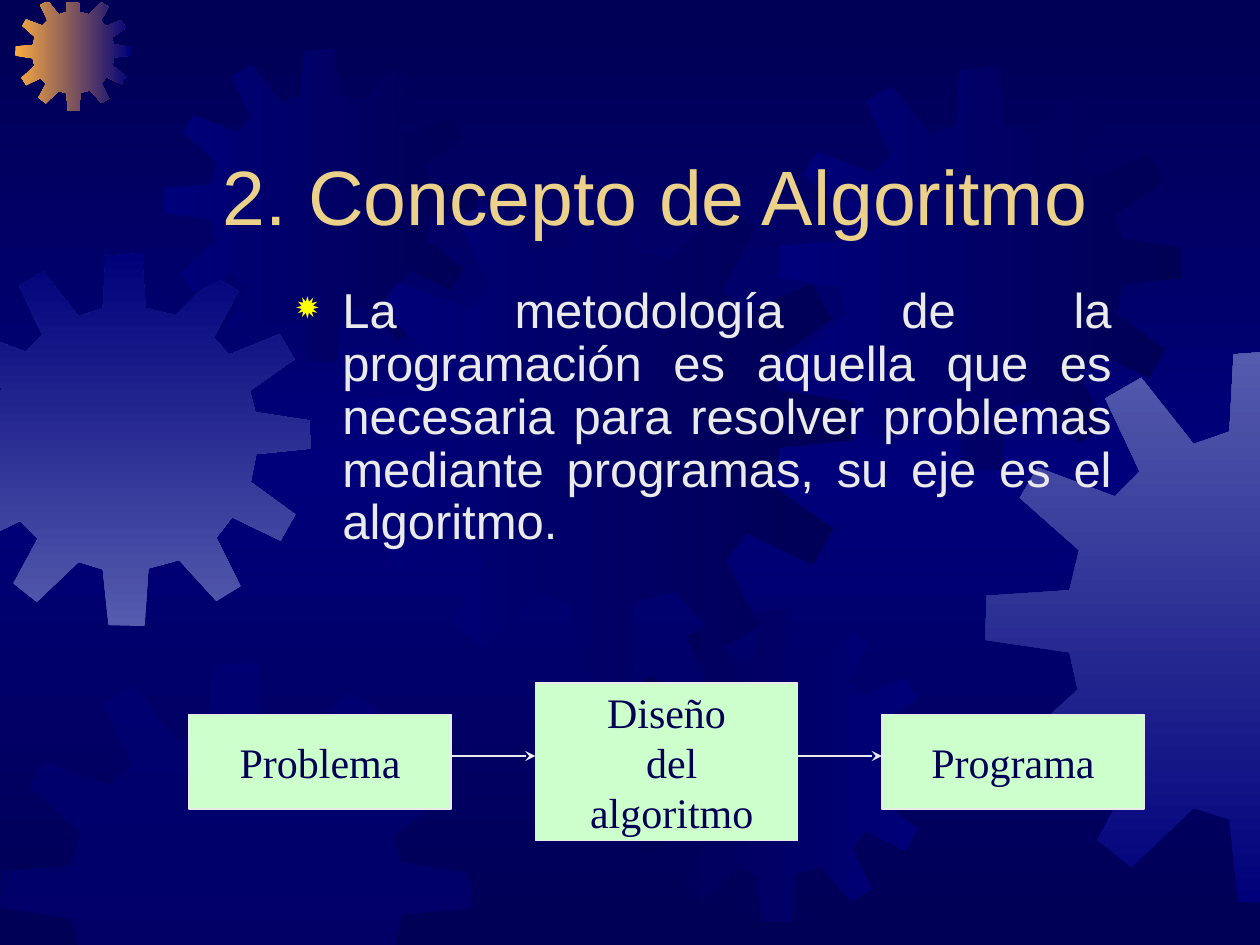
from copy import deepcopy

from pptx import Presentation
from pptx.dml.color import RGBColor
from pptx.enum.shapes import MSO_CONNECTOR as Connector, MSO_SHAPE as Shape
from pptx.enum.text import MSO_ANCHOR as Anchor, PP_ALIGN as Align
from pptx.oxml.ns import qn
from pptx.util import Inches, Pt
from lxml.etree import SubElement

NAVY, BLUE, LILAC, ORANGE = "000054", "00007A", "555BAD", "FCAB40"
GOLD, PALE, MINT, YELLOW = "EBD189", "EAEAEA", "CCFFCC", "FFFF00"

GEAR_SIZE = 401
GEAR_OUTLINE = [
    (255, 67), (223, 59), (219, 0), (180, 3), (177, 59), (151, 68),
    (113, 20), (87, 35), (112, 88), (94, 106), (38, 85), (25, 107),
    (68, 145), (61, 174), (1, 178), (0, 210), (61, 219), (67, 246),
    (22, 287), (38, 312), (88, 288), (107, 307), (81, 355), (106, 375),
    (151, 332), (177, 340), (183, 400), (222, 401), (226, 339), (259, 330),
    (299, 374), (325, 358), (299, 306), (316, 284), (368, 309), (384, 281),
    (336, 246), (342, 216), (401, 210), (400, 180), (341, 171), (335, 148),
    (383, 114), (367, 87), (313, 109), (296, 91), (323, 41), (297, 25),
]
GEARS = [
    (-0.49, 2.01, 2.96, (LILAC, BLUE), 90),
    (0.12, -0.04, 0.92, (ORANGE, BLUE), 0),
    (1.3, 0.39, 2.48, (BLUE, NAVY), 0),
    (2.77, 1.39, 4.01, (BLUE, NAVY), 0),
    (0, 5.25, 3.74, (BLUE,), 0),
    (4.91, 4.84, 2.48, (NAVY, BLUE), 0),
    (6.18, 0.53, 3.2, (BLUE, NAVY), 0),
    (7.82, 2.78, 4.39, (BLUE, LILAC), 90),
]
EDGES = [(0, 0, 1), (0, 10, -1), (1, 0.02, 1), (1, 7.5, -1)]


def color(value):
    return RGBColor.from_string(value)


def set_gradient(fill, colors, angle):
    fill.gradient()
    fill.gradient_angle = angle
    for stop, value in zip(fill.gradient_stops, colors):
        stop.color.rgb = color(value)


def clip(points, axis, limit, sign):
    kept = []
    for start, end in zip(points[-1:] + points[:-1], points):
        start_in = sign * (start[axis] - limit) >= 0
        end_in = sign * (end[axis] - limit) >= 0
        if start_in != end_in:
            ratio = (limit - start[axis]) / (end[axis] - start[axis])
            kept.append(tuple(a + ratio * (b - a) for a, b in zip(start, end)))
        if end_in:
            kept.append(end)
    return kept


def add_gear(page, left, top, size, colors, angle):
    unit = size / GEAR_SIZE
    points = [(left + x * unit, top + y * unit) for x, y in GEAR_OUTLINE]
    for edge in EDGES:
        points = clip(points, *edge)
    corners = [(Inches(x), Inches(y)) for x, y in points]
    builder = page.shapes.build_freeform(*corners[0])
    builder.add_line_segments(corners[1:])
    gear = builder.convert_to_shape()
    gear.shadow.inherit = False
    gear.line.fill.background()
    if len(colors) > 1:
        set_gradient(gear.fill, colors, angle)
    else:
        gear.fill.solid()
        gear.fill.fore_color.rgb = color(colors[0])
        solid = next(gear.element.iter(qn("a:srgbClr")))
        SubElement(solid, qn("a:alpha"), val="50000")


def add_background(page):
    fill = page.background.fill
    set_gradient(fill, (NAVY, BLUE), 90)
    first, middle = page.element.iter(qn("a:gs"))
    middle.addnext(deepcopy(first))
    for stop, position in zip(fill.gradient_stops, (0, 0.5, 1)):
        stop.position = position
    for gear in GEARS:
        add_gear(page, *gear)


def add_span(para, text, font, size, value):
    span = para.add_run()
    span.text = text
    span.font.name = font
    span.font.size = Pt(size)
    span.font.color.rgb = color(value)


def add_text_box(page, left, top, width, height):
    box = page.shapes.add_textbox(Inches(left), Inches(top), Inches(width), Inches(height))
    box.text_frame.word_wrap = True
    para = box.text_frame.paragraphs[0]
    para.alignment = Align.JUSTIFY
    return box.text_frame, para


def add_title(page, *area):
    frame, para = add_text_box(page, *area)
    frame.vertical_anchor = Anchor.MIDDLE
    add_span(para, "2. Concepto de Algoritmo", "Arial", 44, GOLD)


def add_body(page, *area):
    frame, para = add_text_box(page, *area)
    para.line_spacing = 0.9
    props = para._p.get_or_add_pPr()
    props.set("marL", str(Inches(0.37)))
    props.set("indent", str(-Inches(0.37)))
    SubElement(SubElement(props, qn("a:buClr")), qn("a:srgbClr"), val=YELLOW)
    SubElement(props, qn("a:buSzPct"), val="80000")
    SubElement(props, qn("a:buChar"), char="✹")
    add_span(para, "La metodología de la programación es aquella que es necesaria para "
             "resolver problemas mediante programas, su eje es el algoritmo.",
             "Arial", 28, PALE)


def add_step(page, left, top, width, height, lines):
    box = page.shapes.add_shape(Shape.RECTANGLE, Inches(left), Inches(top),
                                Inches(width), Inches(height))
    box.shadow.inherit = False
    box.fill.solid()
    box.fill.fore_color.rgb = color(MINT)
    box.line.color.rgb = color(PALE)
    box.line.width = Pt(1)
    frame = box.text_frame
    frame.word_wrap = False
    frame.vertical_anchor = Anchor.MIDDLE
    for index, text in enumerate(lines):
        para = frame.add_paragraph() if index else frame.paragraphs[0]
        para.alignment = Align.CENTER
        add_span(para, text, "Times New Roman", 24, NAVY)


def add_arrow(page, left, right, y):
    arrow = page.shapes.add_connector(Connector.STRAIGHT, Inches(left), Inches(y),
                                      Inches(right), Inches(y))
    arrow.line.color.rgb = color(PALE)
    arrow.line.width = Pt(1)
    SubElement(arrow.line._get_or_add_ln(), qn("a:tailEnd"), type="stealth")
    SubElement(arrow.element.spPr, qn("a:effectLst"))


def add_flow(page, left, top, width, height):
    step_width = 2.08
    pitch = (width - step_width) / 2
    steps = [(0.75, ["Problema"]),
             (1.25, ["Diseño", " del", " algoritmo"]),
             (0.75, ["Programa"])]
    for index, (step_height, lines) in enumerate(steps):
        x = left + index * pitch
        if index:
            add_arrow(page, x - pitch + step_width, x, top + 0.58)
        add_step(page, x, top + (height - step_height) / 2, step_width, step_height, lines)


def main():
    deck = Presentation()
    deck.slide_width, deck.slide_height = Inches(10), Inches(7.5)
    page = deck.slides.add_slide(deck.slide_layouts[6])
    add_background(page)
    add_title(page, 1.67, 0.92, 7.58, 1.25)
    add_body(page, 2.25, 2.22, 6.67, 2.36)
    add_flow(page, 1.5, 5.42, 7.58, 1.25)
    deck.save("out.pptx")


if __name__ == "__main__":
    main()
